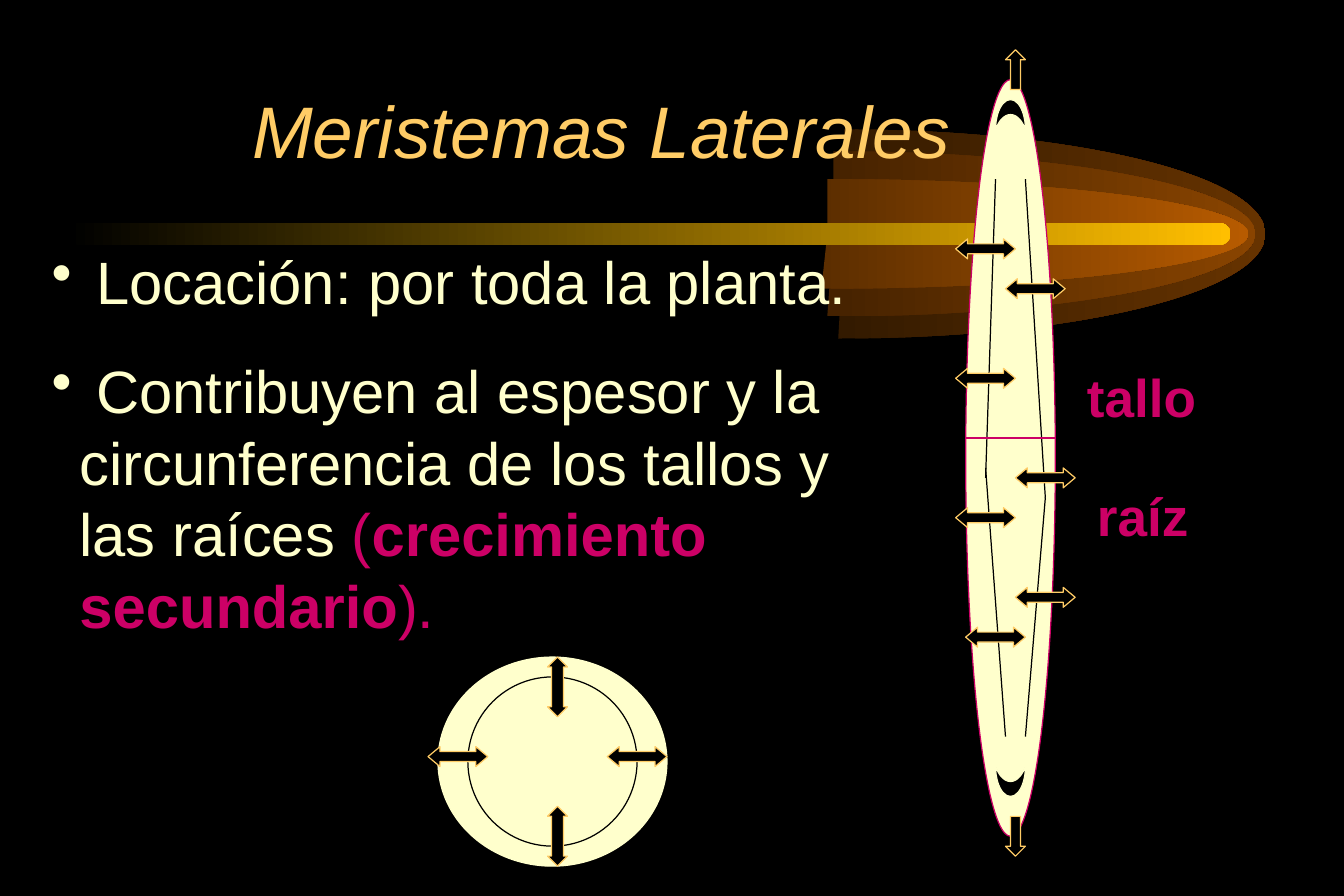
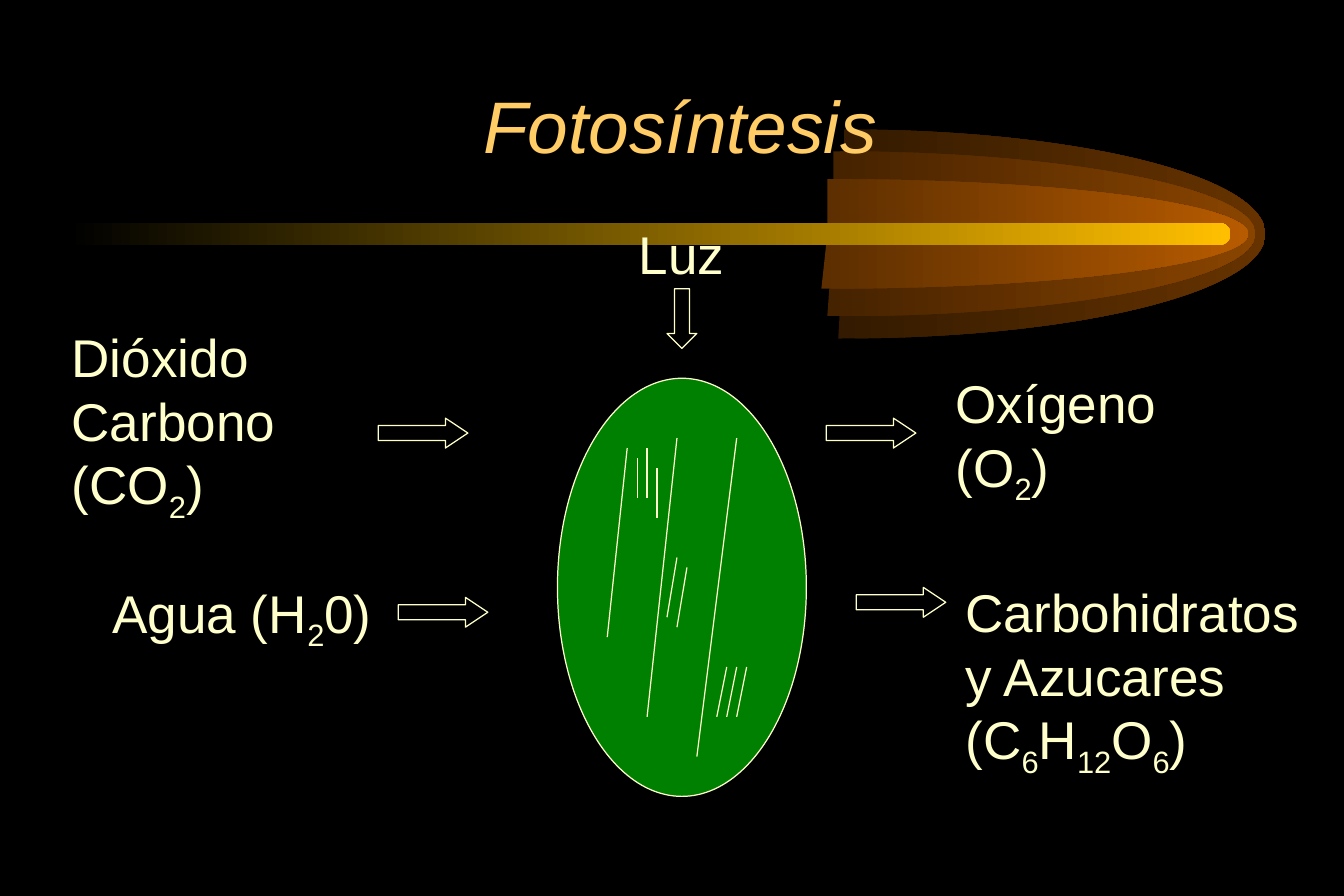
"""Build two biology slides: lateral meristems and photosynthesis."""
from lxml.etree import SubElement
from pptx import Presentation
from pptx.dml.color import RGBColor
from pptx.enum.shapes import MSO_CONNECTOR, MSO_SHAPE
from pptx.enum.text import MSO_ANCHOR, PP_ALIGN
from pptx.oxml.ns import qn
from pptx.util import Pt

PX = 7620
FONT = "Arial"
COLORS = {
    "night": "000000",
    "cream": "FFFFCC",
    "gold": "FFCC66",
    "magenta": "CC0066",
    "leaf": "008000",
    "beam": "FFBF00",
    "outer_dark": "331A00",
    "outer": "663300",
    "middle_dark": "452200",
    "middle": "894400",
    "inner_dark": "5C2E00",
    "inner": "B75B00",
}
BEAM_Y = 235
SLANT = 6
ROUNDNESS = 0.55
GLOWS = [
    ("outer", 848, 1271, 105),
    ("middle", 837, 1261, 83),
    ("inner", 831, 1254, 55),
]


def rgb(name):
    return RGBColor.from_string(COLORS[name])


def fade(shape, start, end):
    shape.shadow.inherit = False
    shape.line.fill.background()
    shape.fill.gradient()
    shape.fill.gradient_angle = 0
    for stop, color in zip(shape.fill.gradient_stops, (start, end)):
        stop.color.rgb = rgb(color)


def bend(segment, points):
    segment.tag = qn("a:cubicBezTo")
    for point in list(segment):
        segment.remove(point)
    for x, y in points:
        SubElement(segment, qn("a:pt"), x=str(round(x)), y=str(round(y)))


def add_glow(slide, color, left, tip, half_height):
    top, bottom = BEAM_Y - half_height, BEAM_Y + half_height
    outline = slide.shapes.build_freeform(left, top, scale=PX)
    outline.add_line_segments([(tip, BEAM_Y), (left - SLANT, bottom), (left, BEAM_Y)])
    glow = outline.convert_to_shape()
    width = tip - left + SLANT
    near_tip = SLANT + ROUNDNESS * (tip - left)
    rise = ROUNDNESS * half_height
    upper, lower = list(glow._element.iter(qn("a:lnTo")))[:2]
    bend(upper, [(near_tip, 0), (width, half_height - rise), (width, half_height)])
    bend(lower, [(width, half_height + rise), (near_tip, 2 * half_height), (0, 2 * half_height)])
    fade(glow, f"{color}_dark", color)


def add_comet(slide):
    for glow in GLOWS:
        add_glow(slide, *glow)
    beam = slide.shapes.add_shape(
        MSO_SHAPE.ROUNDED_RECTANGLE, 67 * PX, (BEAM_Y - 11) * PX, 1169 * PX, 22 * PX)
    beam.adjustments[0] = 0.5
    fade(beam, "night", "beam")


def add_figure(slide, preset, box, fill, line, adjustments=(), rotation=0):
    figure = slide.shapes.add_shape(preset, *(length * PX for length in box))
    figure.shadow.inherit = False
    figure.fill.solid()
    figure.fill.fore_color.rgb = rgb(fill)
    figure.line.color.rgb = rgb(line)
    figure.line.width = Pt(0.75)
    figure.rotation = rotation
    for index, value in enumerate(adjustments):
        figure.adjustments[index] = value


def add_line(slide, ends, color):
    line = slide.shapes.add_connector(MSO_CONNECTOR.STRAIGHT, *(end * PX for end in ends))
    line.line.color.rgb = rgb(color)
    line.line.width = Pt(0.75)
    SubElement(line._element.spPr, qn("a:effectLst"))


def add_text(slide, box, paragraphs, size=32, color="cream", anchor=MSO_ANCHOR.TOP):
    frame = slide.shapes.add_textbox(*(length * PX for length in box)).text_frame
    frame.word_wrap = True
    frame.vertical_anchor = anchor
    for index, runs in enumerate(paragraphs):
        paragraph = frame.add_paragraph() if index else frame.paragraphs[0]
        paragraph.font.name = FONT
        paragraph.font.size = Pt(size)
        paragraph.font.color.rgb = rgb(color)
        for text, accent, bold in runs:
            run = paragraph.add_run()
            run.text = text
            if accent:
                run.font.color.rgb = rgb(accent)
            if bold:
                run.font.bold = True
    return frame


def add_title(slide, box, text, anchor):
    frame = add_text(slide, box, [[(text, None, False)]], 44, "gold", anchor)
    frame.paragraphs[0].alignment = PP_ALIGN.CENTER
    frame.paragraphs[0].font.italic = True


def add_bullets(slide, box, paragraphs):
    for paragraph in add_text(slide, box, paragraphs, 36).paragraphs:
        paragraph.space_before = Pt(22.5)
        properties = paragraph._p.get_or_add_pPr()
        properties.set("marL", str(28 * PX))
        properties.set("indent", str(-28 * PX))
        bullet = properties.makeelement(qn("a:buChar"), {"char": "•"})
        properties.find(qn("a:defRPr")).addprevious(bullet)


def add_formula(slide, box, text):
    parts = text.split("~")
    frame = add_text(slide, box, [[(part, None, False) for part in parts]])
    for subscript in frame.paragraphs[0].runs[1::2]:
        subscript._r.get_or_add_rPr().set("baseline", "-25000")


def add_growth_arrow(slide, preset, box, head=0.6):
    add_figure(slide, preset, box, "night", "gold", (0.5, head))


def draw_plant(slide):
    add_figure(slide, MSO_SHAPE.OVAL, (970, 80, 90, 760), "cream", "magenta")
    for ends in [(1000, 180, 990, 480), (990, 470, 1010, 740),
                 (1030, 180, 1050, 500), (1050, 500, 1030, 740)]:
        add_line(slide, ends, "night")
    for left, top in [(960, 370), (960, 240), (1010, 280), (1020, 470),
                      (1020, 590), (960, 510), (970, 630)]:
        add_growth_arrow(slide, MSO_SHAPE.LEFT_RIGHT_ARROW, (left, top, 60, 20))
    add_line(slide, (970, 440, 1060, 440), "magenta")


def draw_tips(slide):
    for top, rotation in [(770, 270), (100, 90)]:
        add_figure(slide, MSO_SHAPE.MOON, (1000, top, 30, 30), "night", "cream", (0.5,), rotation)
    add_growth_arrow(slide, MSO_SHAPE.UP_ARROW, (1010, 50, 20, 40), 0.5)
    add_growth_arrow(slide, MSO_SHAPE.DOWN_ARROW, (1010, 820, 20, 40), 0.5)


def draw_cross_section(slide):
    add_figure(slide, MSO_SHAPE.OVAL, (440, 660, 230, 210), "cream", "cream")
    add_figure(slide, MSO_SHAPE.OVAL, (470, 680, 170, 170), "cream", "night")
    for left in (610, 430):
        add_growth_arrow(slide, MSO_SHAPE.LEFT_RIGHT_ARROW, (left, 750, 60, 20))
    for top in (810, 660):
        add_growth_arrow(slide, MSO_SHAPE.UP_DOWN_ARROW, (550, top, 20, 60))


def build_meristems(slide):
    add_title(slide, (60, 30, 1068, 150), " Meristemas Laterales", MSO_ANCHOR.BOTTOM)
    add_bullets(slide, (40, 240, 870, 410), [
        [(" Locación: por toda la planta.", None, False)],
        [(" Contribuyen al espesor y la circunferencia de los tallos y las raíces ", None, False),
         ("(", "magenta", False),
         ("crecimiento secundario", "magenta", True),
         (").", "magenta", False)],
    ])
    draw_plant(slide)
    for box, organ in [((1080, 360, 180, 77), "tallo"), ((1090, 480, 130, 77), "raíz")]:
        label = add_text(slide, box, [[(organ, None, False)]], color="magenta")
        label.paragraphs[0].font.bold = True
    draw_tips(slide)
    draw_cross_section(slide)


def draw_leaf(slide):
    add_figure(slide, MSO_SHAPE.OVAL, (560, 380, 250, 420), "leaf", "cream")
    veins = [(630, 450, 610, 640), (680, 440, 650, 720), (740, 440, 700, 760),
             (640, 460, 640, 500), (650, 450, 650, 500), (660, 470, 660, 520),
             (680, 560, 670, 620), (690, 570, 680, 630)]
    veins += [(x, 670, x - 10, 720) for x in (730, 740, 750)]
    for vein in veins:
        add_line(slide, vein, "cream")


def build_photosynthesis(slide):
    add_title(slide, (110, 50, 1147, 150), "Fotosíntesis", MSO_ANCHOR.MIDDLE)
    draw_leaf(slide)
    for left, top in [(380, 420), (400, 600), (830, 420), (860, 590)]:
        add_figure(slide, MSO_SHAPE.RIGHT_ARROW, (left, top, 90, 30),
                   "night", "cream", (0.5, 0.75))
    add_figure(slide, MSO_SHAPE.DOWN_ARROW, (670, 290, 30, 60), "night", "cream", (0.5, 0.5))
    for box, text in [
        ((60, 320, 330, 214), "Dióxido Carbono (CO~2~)"),
        ((101, 577, 290, 85), "Agua (H~2~0)"),
        ((630, 217, 115, 77), "Luz"),
        ((948, 366, 240, 149), "Oxígeno (O~2~)"),
        ((958, 576, 392, 214), "Carbohidratos y Azucares (C~6~H~12~O~6~)"),
    ]:
        add_formula(slide, box, text)


def main():
    deck = Presentation()
    deck.slide_width, deck.slide_height = 1350 * PX, 900 * PX
    backdrop = deck.slide_master.background.fill
    backdrop.solid()
    backdrop.fore_color.rgb = rgb("night")
    for build in (build_meristems, build_photosynthesis):
        slide = deck.slides.add_slide(deck.slide_layouts[6])
        add_comet(slide)
        build(slide)
    deck.save("out.pptx")


if __name__ == "__main__":
    main()
